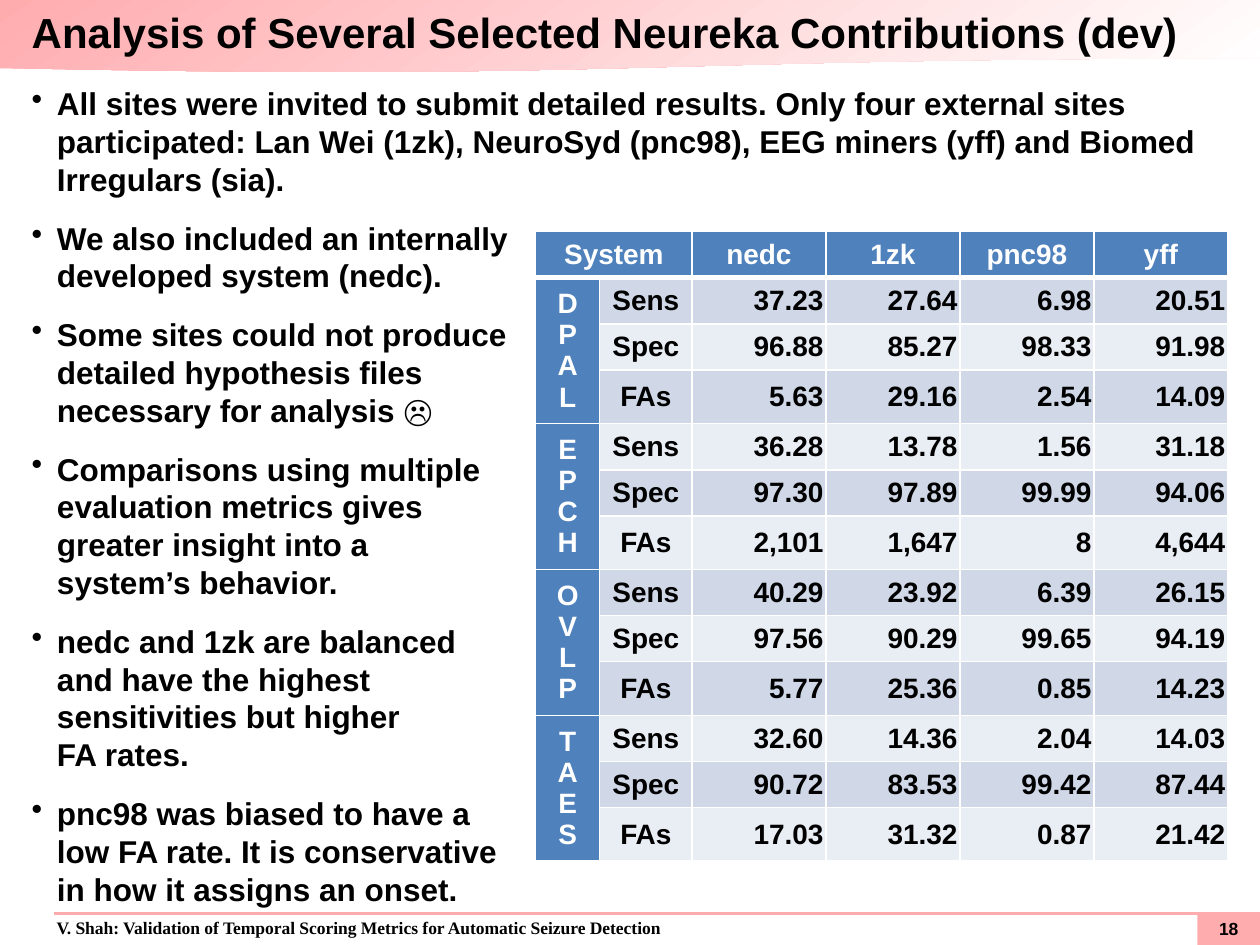
from lxml.etree import SubElement
from pptx import Presentation
from pptx.dml.color import RGBColor
from pptx.enum.shapes import MSO_CONNECTOR, MSO_SHAPE
from pptx.enum.text import MSO_ANCHOR as Anchor, PP_ALIGN as Align
from pptx.oxml import parse_xml
from pptx.oxml.ns import nsdecls, qn
from pptx.util import Cm, Pt

WIDTH, HEIGHT = 25.4, 19.05
PINK, WHITE, BLACK, BLUE = "FFACAF", "FFFFFF", "000000", "4F81BD"
BANDS = ("D0D8E8", "E9EDF4")

TITLE = "Analysis of Several Selected Neureka Contributions (dev)"
BULLETS = [
    "All sites were invited to submit detailed results. Only four external sites "
    "participated: Lan Wei (1zk), NeuroSyd (pnc98), EEG miners (yff) and Biomed "
    "Irregulars (sia).",
    "We also included an internally\ndeveloped system (nedc).",
    "Some sites could not produce\ndetailed hypothesis files\nnecessary for analysis ☹",
    "Comparisons using multiple\nevaluation metrics gives\ngreater insight into a\n"
    "system’s behavior.",
    "nedc and 1zk are balanced\nand have the highest\nsensitivities but higher\nFA rates.",
    "pnc98 was biased to have a\nlow FA rate. It is conservative\nin how it assigns an onset.",
]
FOOTER = "V. Shah: Validation of Temporal Scoring Metrics for Automatic Seizure Detection"
PAGE_NUMBER = "18"

SYSTEMS = ["nedc", "1zk", "pnc98", "yff"]
MEASURES = ["Sens", "Spec", "FAs"]
SCORES = {
    "DPAL": [["37.23", "27.64", "6.98", "20.51"],
             ["96.88", "85.27", "98.33", "91.98"],
             ["5.63", "29.16", "2.54", "14.09"]],
    "EPCH": [["36.28", "13.78", "1.56", "31.18"],
             ["97.30", "97.89", "99.99", "94.06"],
             ["2,101", "1,647", "8", "4,644"]],
    "OVLP": [["40.29", "23.92", "6.39", "26.15"],
             ["97.56", "90.29", "99.65", "94.19"],
             ["5.77", "25.36", "0.85", "14.23"]],
    "TAES": [["32.60", "14.36", "2.04", "14.03"],
             ["90.72", "83.53", "99.42", "87.44"],
             ["17.03", "31.32", "0.87", "21.42"]],
}


def color(value):
    return RGBColor.from_string(value)


def set_attributes(target, values):
    for name, value in values.items():
        setattr(target, name, value)


def write(paragraph, text, size, font_color=BLACK, name="Arial", **paragraph_format):
    """Fill a paragraph with bold text; line feeds become line breaks."""
    paragraph.text = text
    set_attributes(paragraph, paragraph_format)
    for run in paragraph.runs:
        set_attributes(run.font, {"size": Pt(size), "bold": True, "name": name})
        run.font.color.rgb = color(font_color)


def set_frame(frame, anchor=Anchor.TOP, wrap=True, margins=(0, 0, 0, 0)):
    left, top, right, bottom = map(Cm, margins)
    set_attributes(frame, {
        "margin_left": left, "margin_top": top, "margin_right": right,
        "margin_bottom": bottom, "vertical_anchor": anchor, "word_wrap": wrap,
    })


def add_block(slide, kind, left, top, width, height):
    shape = slide.shapes.add_shape(kind, Cm(left), Cm(top), Cm(width), Cm(height))
    shape.shadow.inherit = False
    shape.line.fill.background()
    return shape


def add_header(slide, left, top, width, height):
    band = add_block(slide, MSO_SHAPE.FLOWCHART_DOCUMENT, left, top, width, height)
    band.fill.gradient()
    band.fill.gradient_angle = 305
    for stop, position, value in zip(band.fill.gradient_stops, (0, 1), (PINK, WHITE)):
        stop.position = position
        stop.color.rgb = color(value)
    title = slide.shapes.title
    title.element.addprevious(band.element)
    set_attributes(title, {
        "left": Cm(left + 0.64), "top": Cm(top),
        "width": Cm(width - 1.27), "height": Cm(1.27),
    })
    set_frame(title.text_frame, Anchor.MIDDLE, wrap=False)
    write(title.text_frame.paragraphs[0], TITLE, 24, alignment=Align.LEFT)


def add_footer(slide, left, top, width, height):
    number_width = 1.26
    number_box = add_block(slide, MSO_SHAPE.RECTANGLE, left + width - number_width,
                           top, number_width, height)
    number_box.fill.solid()
    number_box.fill.fore_color.rgb = color(PINK)
    set_frame(number_box.text_frame, Anchor.MIDDLE)
    write(number_box.text_frame.paragraphs[0], PAGE_NUMBER, 10, alignment=Align.CENTER)

    source = slide.shapes.add_textbox(Cm(left + 0.1), Cm(top - 0.03),
                                      Cm(width - number_width), Cm(height))
    set_frame(source.text_frame, margins=(1.04, 0.13, 0, 0.13))
    write(source.text_frame.paragraphs[0], FOOTER, 10, name="Times New Roman")

    rule = slide.shapes.add_connector(MSO_CONNECTOR.STRAIGHT, Cm(left + 1.09),
                                      Cm(top + 0.02), Cm(left + width), Cm(top + 0.02))
    rule.line.color.rgb = color(PINK)
    rule.line.width = Pt(1.5)
    SubElement(rule.element.spPr, qn("a:effectLst"))


def add_bullets(slide, left, top, width, height):
    frame = slide.shapes.add_textbox(Cm(left), Cm(top), Cm(width), Cm(height)).text_frame
    set_frame(frame)
    for index, text in enumerate(BULLETS):
        paragraph = frame.add_paragraph() if index else frame.paragraphs[0]
        properties = paragraph._p.get_or_add_pPr()
        properties.set("marL", str(Cm(0.51)))
        properties.set("indent", str(-Cm(0.51)))
        SubElement(properties, qn("a:buChar"), char="•")
        write(paragraph, text, 18, space_after=Pt(12), line_spacing=Pt(21.6))


def format_cell(cell, text, fill, font_color=BLACK, align=Align.CENTER,
                vertical_margin=0.03, bottom_border=1, **paragraph_format):
    set_attributes(cell, {
        "margin_left": Cm(0.05), "margin_right": Cm(0.05),
        "margin_top": Cm(vertical_margin), "margin_bottom": Cm(vertical_margin),
        "vertical_anchor": Anchor.MIDDLE,
    })
    cell.fill.solid()
    cell.fill.fore_color.rgb = color(fill)
    write(cell.text_frame.paragraphs[0], text, 16, font_color,
          alignment=align, **paragraph_format)
    properties = cell._tc.get_or_add_tcPr()
    for index, side in enumerate("LRTB"):
        points = bottom_border if side == "B" else 1
        properties.insert(index, parse_xml(
            f'<a:ln{side} {nsdecls("a")} w="{Pt(points)}"><a:solidFill>'
            f'<a:srgbClr val="{WHITE}"/></a:solidFill></a:ln{side}>'))


def add_score_table(slide, left, top):
    column_widths = [1.29, 1.86] + [2.7] * len(SYSTEMS)
    row_heights = [0.93] + [0.93, 0.93, 1.08] * len(SCORES)
    table = slide.shapes.add_table(
        len(row_heights), len(column_widths), Cm(left), Cm(top),
        Cm(sum(column_widths)), Cm(sum(row_heights))).table
    for column, width in zip(table.columns, column_widths):
        column.width = Cm(width)
    for row, height in zip(table.rows, row_heights):
        row.height = Cm(height)

    table.cell(0, 0).merge(table.cell(0, 1))
    for column, text in enumerate(["System", ""] + SYSTEMS):
        format_cell(table.cell(0, column), text, BLUE, WHITE, bottom_border=3)
    for group, (metric, scores) in enumerate(SCORES.items()):
        first_row = 1 + group * len(MEASURES)
        table.cell(first_row, 0).merge(table.cell(first_row + len(MEASURES) - 1, 0))
        for offset, (measure, values) in enumerate(zip(MEASURES, scores)):
            row = first_row + offset
            format_cell(table.cell(row, 0), "" if offset else "\n".join(metric), BLUE,
                        WHITE, vertical_margin=0.13, line_spacing=Pt(17.8))
            band = BANDS[(row - 1) % 2]
            format_cell(table.cell(row, 1), measure, band)
            for column, value in enumerate(values, start=2):
                format_cell(table.cell(row, column), value, band, align=Align.RIGHT)


def main():
    presentation = Presentation()
    presentation.slide_width, presentation.slide_height = Cm(WIDTH), Cm(HEIGHT)
    slide = presentation.slides.add_slide(presentation.slide_layouts[5])
    add_header(slide, 0, 0, WIDTH, 1.47)
    add_footer(slide, 0, 18.39, WIDTH, 0.66)
    add_bullets(slide, 0.64, 1.7, 24.13, 16.66)
    add_score_table(slide, 10.8, 4.67)
    presentation.save("out.pptx")


if __name__ == "__main__":
    main()
